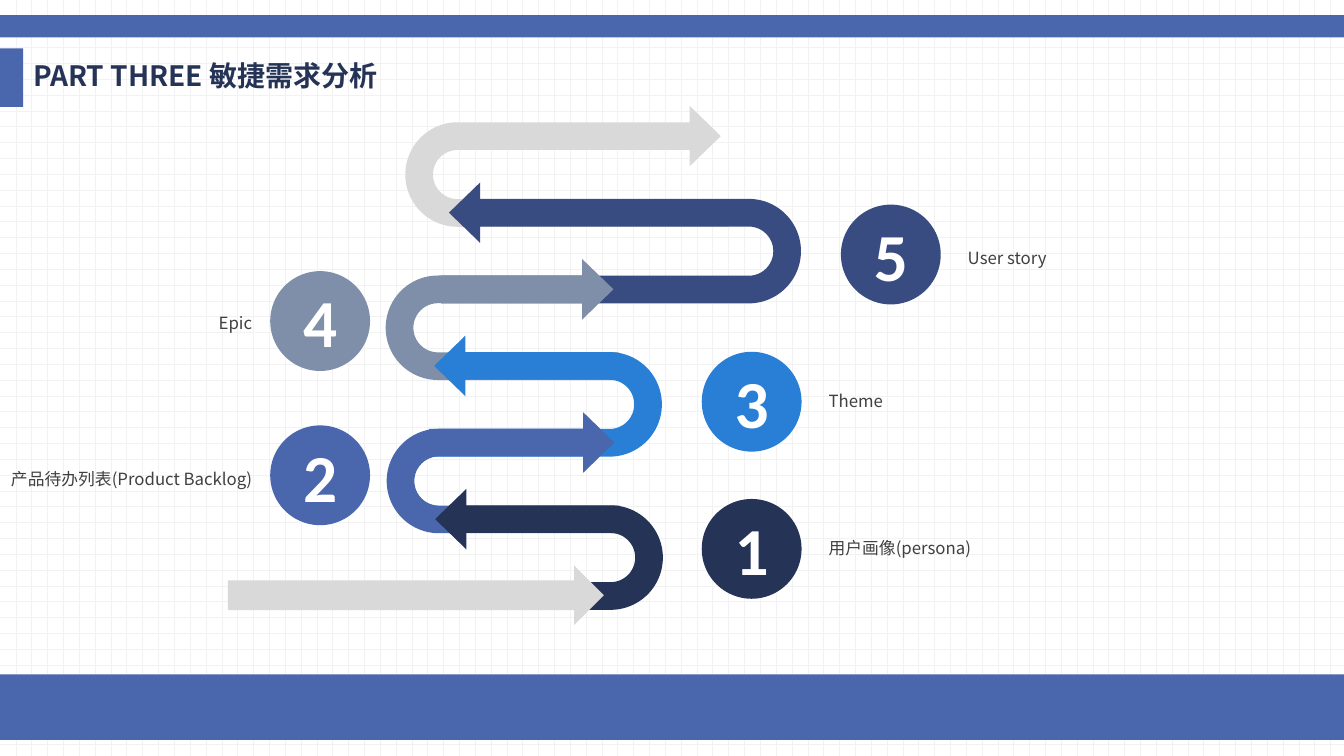
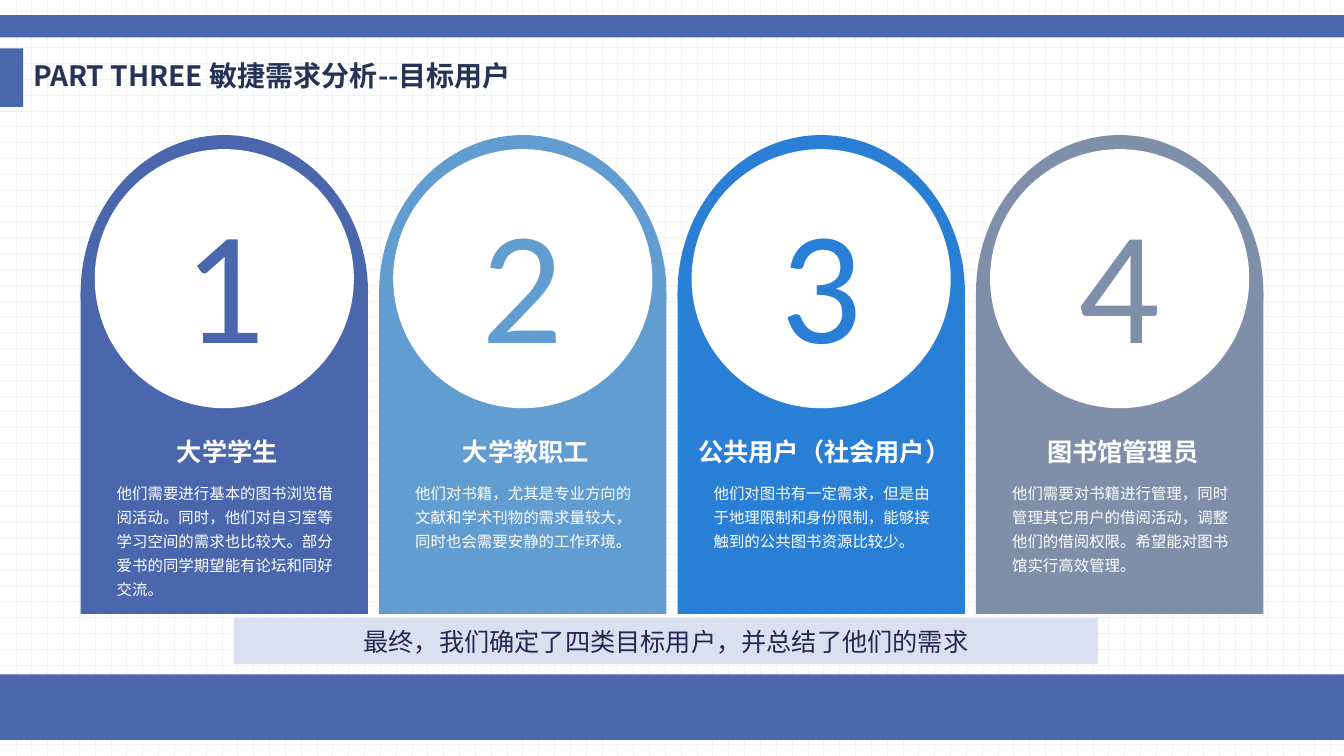
"""Build two slides on agile requirements analysis: a winding path and four user cards."""
from lxml import etree
from pptx import Presentation
from pptx.dml.color import RGBColor
from pptx.enum.dml import MSO_PATTERN
from pptx.enum.shapes import MSO_SHAPE as SHAPE
from pptx.enum.text import MSO_ANCHOR as ANCHOR, MSO_AUTO_SIZE as FIT, PP_ALIGN as ALIGN
from pptx.oxml.ns import qn
from pptx.util import Inches, Pt

COLORS = {
    "blue": "4A66AC", "navy": "253356", "indigo": "384C81", "slate": "7F8FA9",
    "bright": "297FD5", "sky": "629DD1", "gray": "D9D9D9", "text": "404040",
    "pale": "DAE0EF", "ink": "242852", "white": "FFFFFF", "grid": "F2F2F2",
}
SANS, LATIN = "Noto Sans CJK SC", "Calibri"

BANDS = [(0, 6.69, 13.33, 0.65), (0, 0.15, 13.33, 0.22), (0, 0.48, 0.23, 0.58)]
TITLES = ["PART THREE 敏捷需求分析", "PART THREE 敏捷需求分析--目标用户"]

TURNS = [
    (5.62, 3.2, "gray"), (6.16, 3.57, "indigo"), (4.98, 2.31, "slate"),
    (5.41, 2.31, "bright"), (4.99, 2.31, "blue"), (5.42, 2.31, "navy"),
]
TURN_ADJ = (0.229, 0.25, 0.258, 0.437, 0.978)
TURN_TOP, TURN_STEP, TURN_H = 1.65, 0.76, 1.2

STEPS = [
    ("1", "用户画像(persona)", "navy", 6.96, 4.95, 5.23),
    ("2", "产品待办列表(Product Backlog)", "blue", 2.68, 4.22, 4.54),
    ("3", "Theme", "bright", 6.96, 3.49, 3.77),
    ("4", "Epic", "slate", 2.68, 2.69, 2.99),
    ("5", "User story", "indigo", 8.34, 2.03, 2.35),
]

USERS = [
    ("大学学生", "blue", "他们需要进行基本的图书浏览借阅活动。同时，他们对自习室等学习空间的需求也比较大。"
     "部分爱书的同学期望能有论坛和同好交流。"),
    ("大学教职工", "sky", "他们对书籍，尤其是专业方向的文献和学术刊物的需求量较大，同时也会需要安静的工作环境。"),
    ("公共用户（社会用户）", "bright", "他们对图书有一定需求，但是由于地理限制和身份限制，能够接触到的公共图书资源比较少。"),
    ("图书馆管理员", "slate", "他们需要对书籍进行管理，同时管理其它用户的借阅活动，调整他们的借阅权限。"
     "希望能对图书馆实行高效管理。"),
]
CARD_LEFT, CARD_STEP, CARD_W = 0.8, 2.96, 2.85
SUMMARY = "最终，我们确定了四类目标用户，并总结了他们的需求"


def rgb(name):
    return RGBColor.from_string(COLORS[name])


def write(tf, text, size, color, font=SANS, bold=False, align=ALIGN.LEFT, spacing=1.0):
    tf.text = text
    p = tf.paragraphs[0]
    p.alignment, p.line_spacing, p.space_before = align, spacing, Pt(0)
    f = p.font
    f.size, f.bold, f.name = Pt(size), bold, font
    f.color.rgb = rgb(color)
    props = p._p.get_or_add_pPr().find(qn("a:defRPr"))
    etree.SubElement(props, qn("a:ea")).set("typeface", SANS)


def add_shape(shapes, kind, box, color):
    sp = shapes.add_shape(kind, *map(Inches, box))
    sp.shadow.inherit = False
    sp.fill.solid()
    sp.fill.fore_color.rgb = rgb(color)
    sp.line.fill.background()
    sp.text_frame.vertical_anchor = ANCHOR.MIDDLE
    return sp


def add_text(shapes, box, text, size, color, wrap=True, **style):
    tf = shapes.add_textbox(*map(Inches, box)).text_frame
    tf.word_wrap = wrap
    write(tf, text, size, color, spacing=1.3, **style)


def style_layout(layout, slide):
    fill = layout.background.fill
    fill.patterned()
    fill.pattern = MSO_PATTERN.DOTTED_GRID
    fill.fore_color.rgb, fill.back_color.rgb = rgb("grid"), rgb("white")
    for box in BANDS:
        layout.shapes.element.append(add_shape(slide.shapes, SHAPE.RECTANGLE, box, "blue").element)


def set_title(slide, text):
    sp = slide.shapes.title
    sp.left, sp.top, sp.width, sp.height = map(Inches, (0.23, 0.48, 5.32, 0.58))
    tf = sp.text_frame
    tf.word_wrap, tf.auto_size, tf.vertical_anchor = True, FIT.NONE, ANCHOR.MIDDLE
    write(tf, text, 20, "navy", bold=True, spacing=0.9)


def draw_path(shapes):
    for i, (center, length, color) in enumerate(TURNS):
        middle = TURN_TOP + i * TURN_STEP
        box = (center - TURN_H / 2, middle - length / 2, TURN_H, length)
        sp = add_shape(shapes, SHAPE.U_TURN_ARROW, box, color)
        for j, value in enumerate(TURN_ADJ):
            sp.adjustments[j] = value
        sp.rotation = 90 if i % 2 else 270
        if i % 2:
            sp.element.spPr.get_or_add_xfrm().set("flipH", "1")
    add_shape(shapes, SHAPE.RIGHT_ARROW, (2.26, 5.61, 3.73, 0.59), "gray")
    for number, label, color, left, top, label_top in STEPS:
        sp = add_shape(shapes, SHAPE.OVAL, (left, top, 0.99, 0.99), color)
        write(sp.text_frame, number, 48, "white", LATIN, True, ALIGN.CENTER)
        on_left = left < 4
        x, width, align = (0, 2.6, ALIGN.RIGHT) if on_left else (left + 1.16, 3.14, ALIGN.LEFT)
        add_text(shapes, (x, label_top, width, 0.34), label, 12, "text", align=align)


def draw_cards(slide):
    for i, (name, color, needs) in enumerate(USERS):
        x = CARD_LEFT + i * CARD_STEP
        shapes = slide.shapes.add_group_shape().shapes
        add_shape(shapes, SHAPE.OVAL, (x, 1.34, CARD_W, 3.12), color)
        add_shape(shapes, SHAPE.RECTANGLE, (x, 2.9, CARD_W, 3.19), color)
        sp = add_shape(shapes, SHAPE.OVAL, (x + 0.14, 1.48, 2.57, 2.57), "white")
        write(sp.text_frame, str(i + 1), 115, color, LATIN, align=ALIGN.CENTER)
        add_text(shapes, (x + 0.26, 4.7, 2.43, 1.28), needs, 11, "white")
        add_text(shapes, (x + 0.03, 4.19, CARD_W, 0.46), name, 18, "white", wrap=False,
                 font=LATIN, bold=True, align=ALIGN.CENTER)
    sp = add_shape(slide.shapes, SHAPE.RECTANGLE, (2.32, 6.13, 8.57, 0.46), "pale")
    write(sp.text_frame, SUMMARY, 18, "ink", LATIN, align=ALIGN.CENTER)


def main():
    prs = Presentation()
    prs.slide_width, prs.slide_height = Inches(13.33), Inches(7.5)
    layout = prs.slide_layouts[5]
    path_slide, users_slide = slides = [prs.slides.add_slide(layout) for _ in TITLES]
    style_layout(layout, path_slide)
    for slide, title in zip(slides, TITLES):
        set_title(slide, title)
    draw_path(path_slide.shapes)
    draw_cards(users_slide)
    prs.save("out.pptx")


if __name__ == "__main__":
    main()
